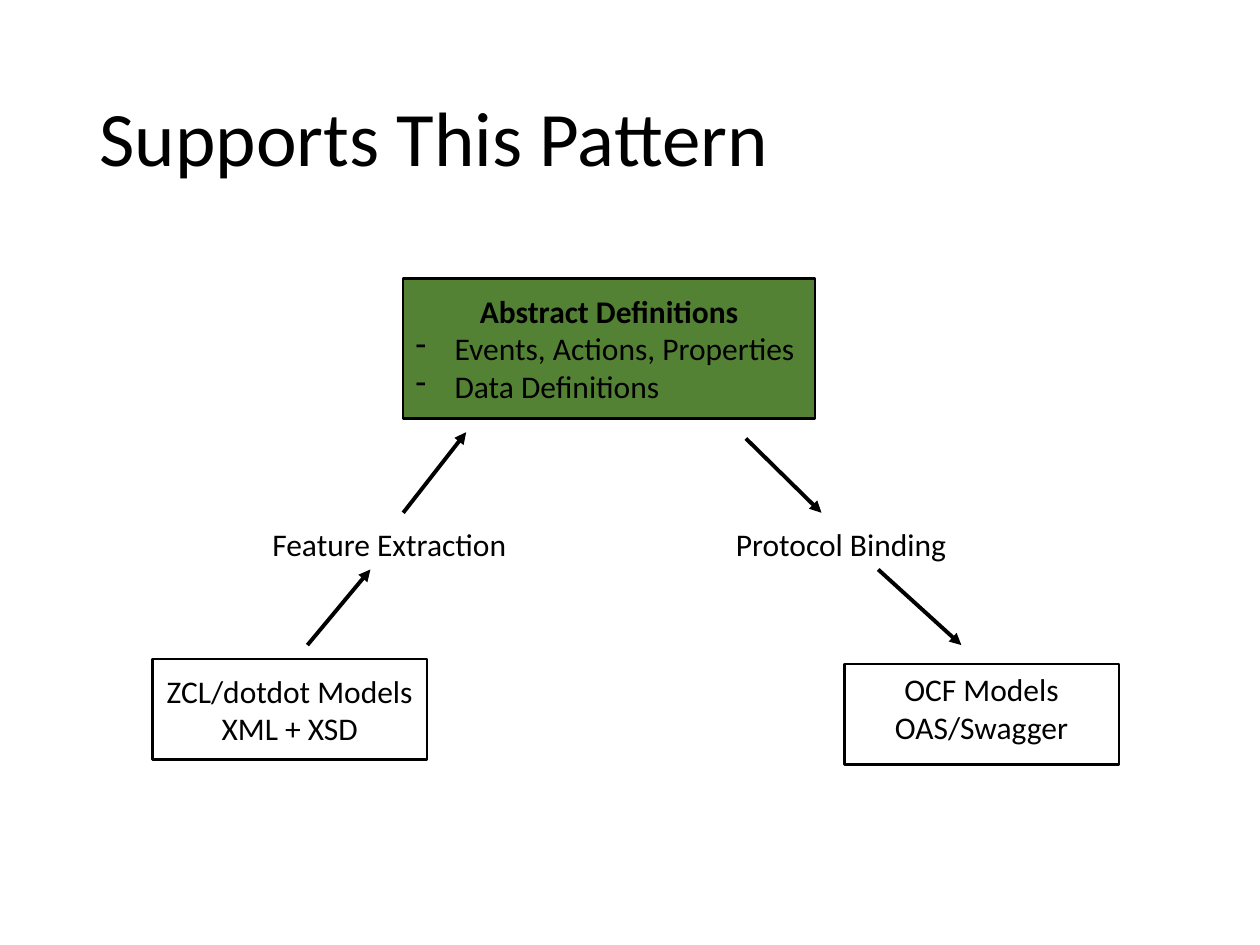
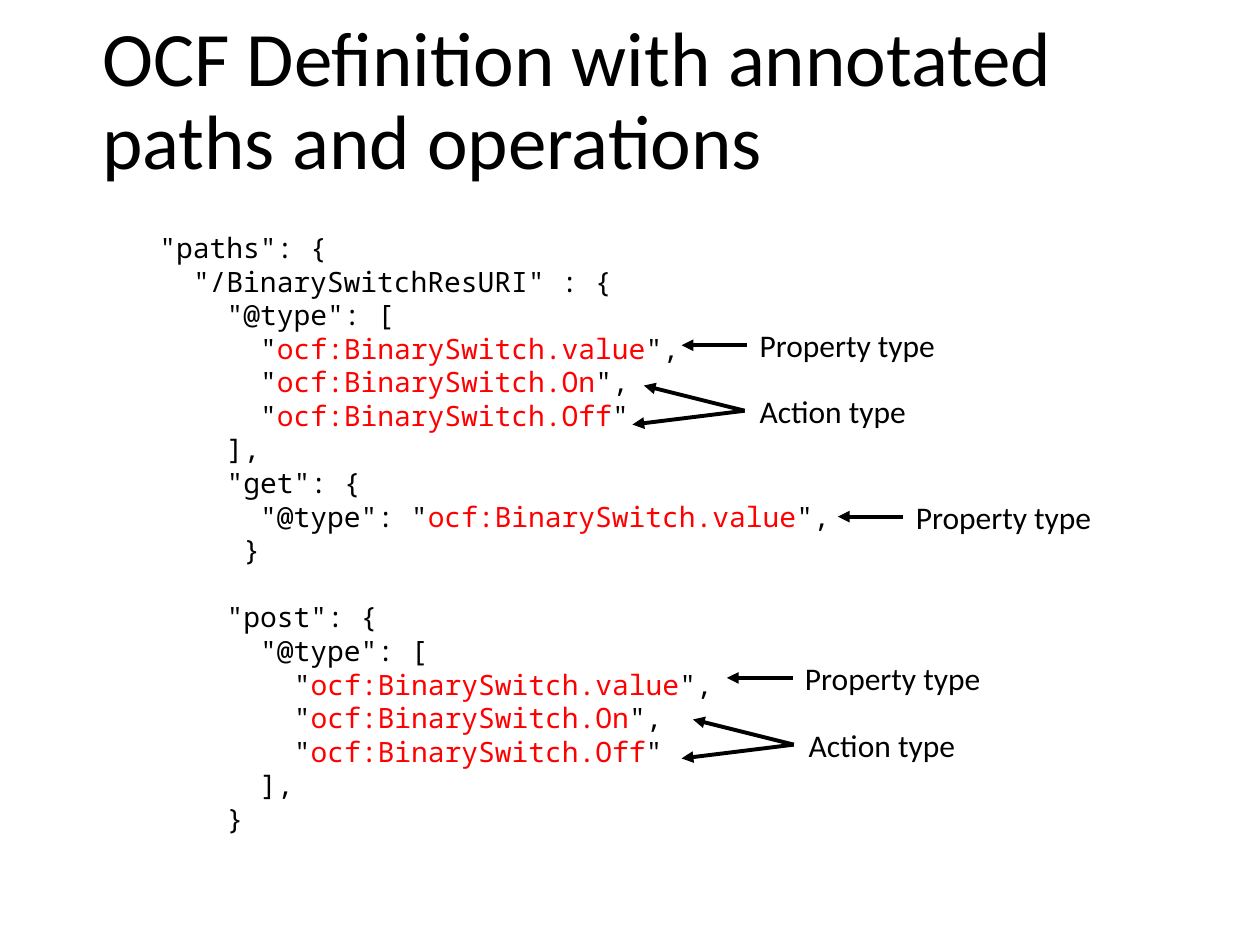
from dataclasses import dataclass

import pptx
import pptx.dml.color
import pptx.enum.shapes
import pptx.enum.text
import pptx.oxml.ns
import pptx.util
from lxml import etree

ALIGN = pptx.enum.text.PP_ALIGN
ANCHOR = pptx.enum.text.MSO_ANCHOR
TITLE_ONLY = 5


@dataclass(frozen=True)
class Theme:
    ink: str = "000000"
    accent: str = "FF0000"
    green: str = "548235"
    body_font: str = "Calibri"
    code_font: str = "Noto Sans Mono"
    title: int = 44
    body: int = 18
    code: int = 16
    code_line: float = 19.2  # points from one code line to the next
    border: float = 1.5
    arrow: float = 2.25


THEME = Theme()
CELL = 0.1  # inches; the slide is a grid of 100 columns by 75 rows
COLUMNS, ROWS = 100, 75


def cells(n):
    return pptx.util.Inches(n * CELL)


def rgb(code):
    return pptx.dml.color.RGBColor.from_string(code)


@dataclass(frozen=True)
class Box:
    """A region of the slide, in grid cells."""
    left: float
    top: float
    width: float
    height: float

    def inner(self, x, y, width, height):
        return Box(self.left + x, self.top + y, width, height)

    def point(self, x, y):
        return self.left + x, self.top + y

    def emu(self):
        return [cells(n) for n in (self.left, self.top, self.width, self.height)]


def write(p, text, size=THEME.body, font=THEME.body_font, bold=False,
          align=ALIGN.LEFT, indent=0, bullet=None, before=0, spacing=None):
    """Fill a paragraph; text between bars takes the accent colour."""
    p.alignment = align
    p.space_before = pptx.util.Pt(before)
    if spacing:
        p.line_spacing = spacing
    pPr = p._p.get_or_add_pPr()
    if indent:
        pPr.set("marL", str(cells(indent)))
    if bullet:
        pPr.set("indent", str(-cells(indent)))
        etree.SubElement(pPr, pptx.oxml.ns.qn("a:buChar")).set("char", bullet)
    for i, piece in enumerate(text.split("|")):
        if piece:
            r = p.add_run()
            r.text = piece
            r.font.size = pptx.util.Pt(size)
            r.font.name = font
            r.font.bold = bold
            r.font.color.rgb = rgb(THEME.accent if i % 2 else THEME.ink)


def write_lines(tf, lines):
    """Write one paragraph for each (text, format) pair."""
    for i, (text, fmt) in enumerate(lines):
        write(tf.add_paragraph() if i else tf.paragraphs[0], text, **fmt)


def add_title_slide(prs, title, box):
    s = prs.slides.add_slide(prs.slide_layouts[TITLE_ONLY])
    sp = s.shapes.title
    sp.left, sp.top, sp.width, sp.height = box.emu()
    tf = sp.text_frame
    tf.word_wrap = True
    tf.auto_size = pptx.enum.text.MSO_AUTO_SIZE.NONE
    tf.vertical_anchor = ANCHOR.MIDDLE
    write(tf.paragraphs[0], title, size=THEME.title, spacing=0.9)
    return s


def add_text(s, box, lines, wrap=True):
    tf = s.shapes.add_textbox(*box.emu()).text_frame
    tf.word_wrap = wrap
    write_lines(tf, lines)


def add_node(s, box, lines, fill=None, anchor=ANCHOR.MIDDLE):
    """Add a bordered rectangle that holds its own text."""
    sp = s.shapes.add_shape(pptx.enum.shapes.MSO_SHAPE.RECTANGLE, *box.emu())
    sp.shadow.inherit = False
    if fill:
        sp.fill.solid()
        sp.fill.fore_color.rgb = rgb(fill)
    else:
        sp.fill.background()
    sp.line.color.rgb = rgb(THEME.ink)
    sp.line.width = pptx.util.Pt(THEME.border)
    tf = sp.text_frame
    tf.word_wrap = True
    tf.vertical_anchor = anchor
    write_lines(tf, lines)


def add_arrow(s, start, end):
    line = s.shapes.add_connector(pptx.enum.shapes.MSO_CONNECTOR.STRAIGHT,
                                  *[cells(n) for n in (*start, *end)])
    line.line.color.rgb = rgb(THEME.ink)
    line.line.width = pptx.util.Pt(THEME.arrow)
    qn = pptx.oxml.ns.qn
    spPr = line._element.spPr
    etree.SubElement(spPr.find(qn("a:ln")), qn("a:tailEnd")).set("type", "triangle")
    etree.SubElement(spPr, qn("a:effectLst"))


def draw_pattern(s, box):
    """Models feed the abstract definitions, which bind to other models."""
    centred = {"align": ALIGN.CENTER}
    dashed = {"indent": 3.1, "bullet": "-"}
    add_node(s, box.inner(20, 0, 32.7, 11.1), [
        ("Abstract Definitions", {"bold": True, **centred}),
        ("Events, Actions, Properties", dashed),
        ("Data Definitions", dashed),
    ], fill=THEME.green)
    for text, x, width in (("Feature Extraction", 8.5, 20.8),
                           ("Protocol Binding", 45.3, 18.9)):
        add_text(s, box.inner(x, 19.1, width, 4), [(text, centred)], wrap=False)
    for lines, x, y, anchor in (
            (("ZCL/dotdot Models", "XML + XSD"), 0.1, 30.2, ANCHOR.MIDDLE),
            (("OCF Models", "OAS/Swagger"), 55, 30.6, ANCHOR.TOP)):
        add_node(s, box.inner(x, y, 21.8, 8), [(t, centred) for t in lines], anchor=anchor)
    for start, end in (((12.4, 29.1), (17.4, 23.1)), ((20, 18.6), (25, 12.2)),
                       ((47.2, 12.7), (53.2, 18.6)), ((57.7, 23.1), (64.3, 29.1))):
        add_arrow(s, box.point(*start), box.point(*end))


CODE = (  # indent in characters, text
    (2, '"paths": {'),
    (4, '"/BinarySwitchResURI" : {'),
    (6, '"@type": ['),
    (8, '"|ocf:BinarySwitch.value|",'),
    (8, '"|ocf:BinarySwitch.On|",'),
    (8, '"|ocf:BinarySwitch.Off|"'),
    (6, '],'),
    (6, '"get": {'),
    (8, '"@type": "|ocf:BinarySwitch.value|",'),
    (7, '}'),
    (6, '"post": {'),
    (8, '"@type": ['),
    (10, '"|ocf:BinarySwitch.value|",'),
    (10, '"|ocf:BinarySwitch.On|",'),
    (10, '"|ocf:BinarySwitch.Off|"'),
    (8, '],'),
    (6, '}'),
)
CHAR = 0.6 * THEME.code / 72 / CELL  # width of one code character in cells


def draw_code(s, box):
    add_text(s, box, [
        (text, {"size": THEME.code, "font": THEME.code_font, "indent": indent * CHAR,
                "before": THEME.code_line if "post" in text else 0})
        for indent, text in CODE])


def draw_callout(s, box, label, x, y, width, start, tips):
    """Put a label at x, centred on y, with arrows from start to each tip."""
    add_text(s, box.inner(x, y - 2, width, 4), [(label, {})], wrap=False)
    for dx, dy in tips:
        add_arrow(s, box.point(x + start, y), box.point(x + dx, y + dy))


def draw_callouts(s, box):
    for x, y in ((50.3, 9.6), (62.7, 23.2), (53.9, 36)):
        draw_callout(s, box, "Property type", x, y, 16.1, 0, [(-5.2, 0)])
    for x, y in ((50.3, 14.8), (54.2, 41.3)):
        draw_callout(s, box, "Action type", x, y, 13.8, -0.2, [(-8.2, -2), (-9.1, 1.1)])


def main():
    prs = pptx.Presentation()
    prs.slide_width, prs.slide_height = cells(COLUMNS), cells(ROWS)

    s = add_title_slide(prs, "Supports This Pattern", Box(6.9, 4, 86.2, 14.5))
    draw_pattern(s, Box(12, 22.1, 76.8, 38.6))

    s = add_title_slide(prs, "OCF Definition with annotated paths and operations",
                        Box(7.1, 0.9, 86.2, 14.5))
    code_box = Box(9, 17.8, 77.5, 52.2)
    draw_code(s, code_box)
    draw_callouts(s, code_box)

    prs.save("out.pptx")


if __name__ == "__main__":
    main()
